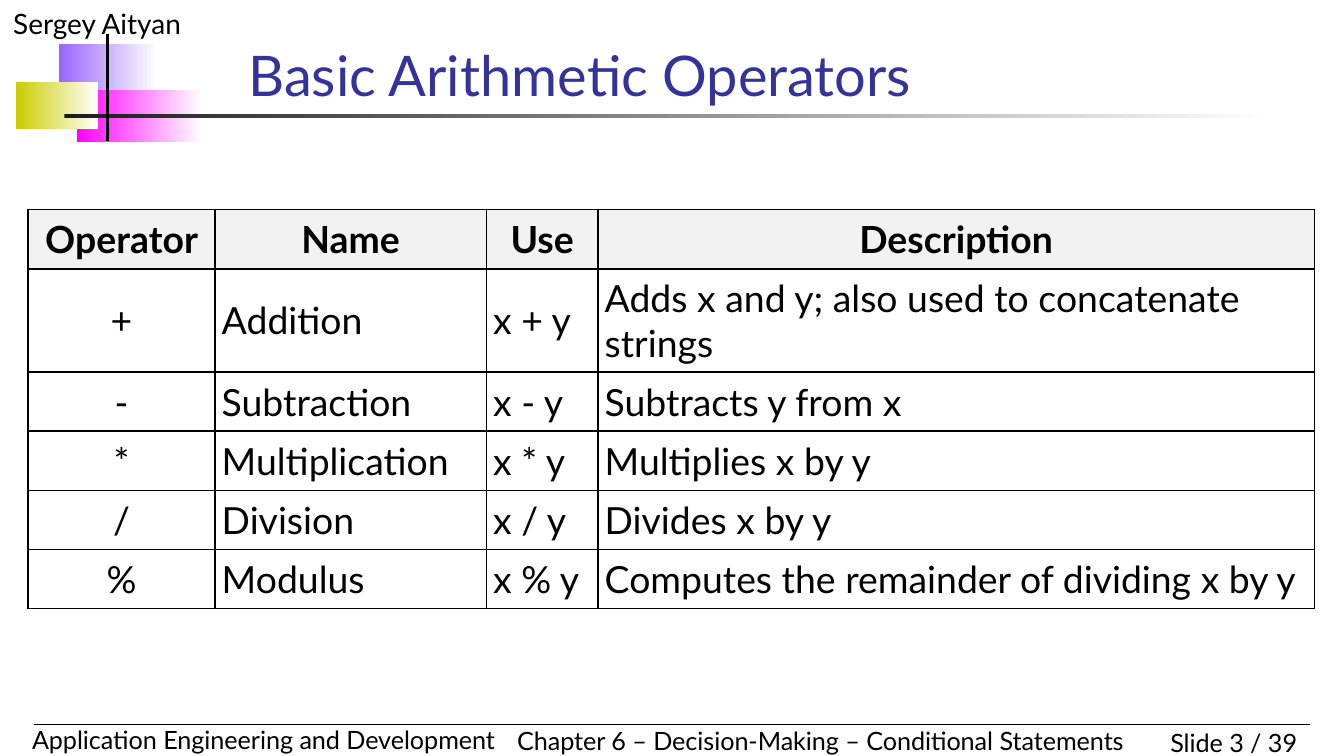
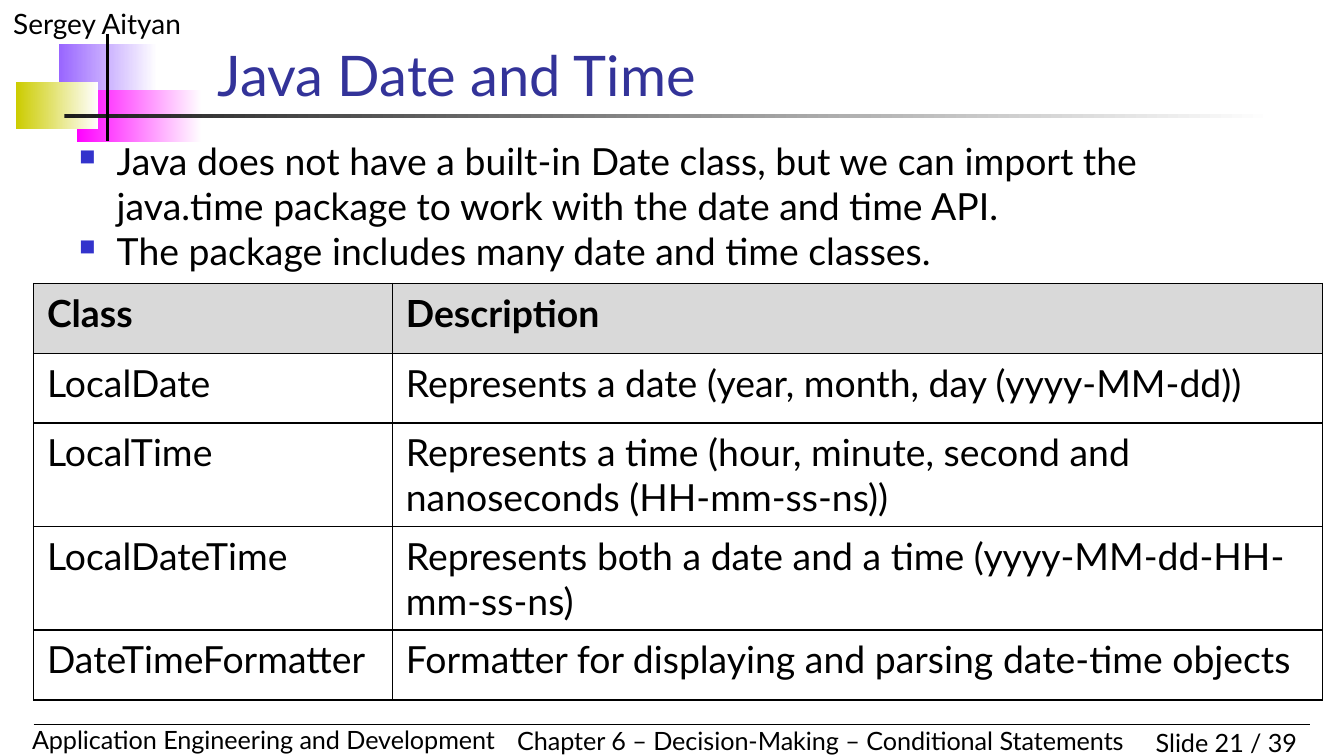
"""Builds two lecture slides with a shared banner, footer and bordered tables."""
from dataclasses import dataclass
from typing import Any, NamedTuple

from pptx import Presentation
from pptx import util as u
from pptx.dml.color import RGBColor
from pptx.enum import shapes, text
from pptx.oxml import parse_xml
from pptx.oxml.ns import nsdecls

AL, ANC, FIT = text.PP_ALIGN, text.MSO_ANCHOR, text.MSO_AUTO_SIZE


@dataclass(frozen=True)
class Theme:
    font: str = "Lato"
    ink: str = "000000"
    title: str = "333399"
    bullet: str = "3333CC"
    fade: str = "FFFFFF"
    violet: str = "9966FF"
    magenta: str = "FF00FF"
    olive: str = "CCCC00"
    rule: str = "1C1C1C"
    light_head: str = "F2F2F2"
    grey_head: str = "D9D9D9"
    title_size: float = 30
    body_size: float = 20
    author_size: float = 15
    footer_size: float = 13.5
    border: float = 1


T = Theme()


class Box(NamedTuple):
    left: float
    top: float
    width: float
    height: float


class Band(NamedTuple):
    box: Box
    color: str


class Label(NamedTuple):
    box: Box
    text: str
    size: float
    align: Any = AL.LEFT
    wrap: bool = True


class Rule(NamedTuple):
    start: tuple[float, float]
    end: tuple[float, float]
    width: float


@dataclass(frozen=True)
class Grid:
    left: float
    top: float
    cols: list[float]
    heights: list[float]
    rows: list[tuple[str, ...]]
    head: str
    inset: float = 0.1
    anchor: Any = ANC.TOP
    centered_head: bool = False
    centered_cols: tuple[int, ...] = ()


BANDS = [
    Band(Box(0.44, 0.33, 0.73, 0.39), T.violet),
    Band(Box(0.57, 0.67, 0.93, 0.39), T.magenta),
    Band(Box(0.12, 0.61, 0.61, 0.35), T.olive),
    Band(Box(0.48, 0.85, 9, 0.03), T.rule),
]
LABELS = [
    Label(Box(0, 0, 2.5, 0.35), "Sergey Aityan", T.author_size),
    Label(Box(8.25, 5.36, 1.5, 0.33), "Slide {number} / 39", T.footer_size, AL.RIGHT),
    Label(Box(0.14, 5.34, 3.7, 0.33), "Application Engineering and Development", T.footer_size),
    Label(Box(3.75, 5.35, 4.76, 0.33), "Chapter 6 – Decision-Making – Conditional Statements",
          T.footer_size, wrap=False),
]
RULES = [Rule((0.25, 5.39), (9.75, 5.39), 0.75), Rule((0.8, 0.25), (0.8, 1.05), 2)]

ONE_LINE, TWO_LINES, TALL_LINE = 0.44, 0.77, 0.52

OPERATORS = Grid(
    left=0.21, top=1.56, cols=[1.39, 2.02, 0.83, 5.33],
    heights=[ONE_LINE, TWO_LINES] + [ONE_LINE] * 4,
    rows=[
        ("Operator", "Name", "Use", "Description"),
        ("+", "Addition", "x + y", "Adds x and y; also used to concatenate strings"),
        ("-", "Subtraction", "x - y", "Subtracts y from x"),
        ("*", "Multiplication", "x * y", "Multiplies x by y"),
        ("/", "Division", "x / y", "Divides x by y"),
        ("%", "Modulus", "x % y", "Computes the remainder of dividing x by y"),
    ],
    head=T.light_head, inset=0.05, anchor=ANC.MIDDLE, centered_head=True, centered_cols=(0,),
)
CLASSES = Grid(
    left=0.25, top=2.11, cols=[2.67, 6.92],
    heights=[TALL_LINE, TALL_LINE, TWO_LINES, TWO_LINES, TALL_LINE],
    rows=[
        ("Class", "Description"),
        ("LocalDate", "Represents a date (year, month, day (yyyy-MM-dd))"),
        ("LocalTime", "Represents a time (hour, minute, second and nanoseconds (HH-mm-ss-ns))"),
        ("LocalDateTime", "Represents both a date and a time (yyyy-MM-dd-HH-mm-ss-ns)"),
        ("DateTimeFormatter", "Formatter for displaying and parsing date-time objects"),
    ],
    head=T.grey_head,
)
DATE_POINTS = [
    "Java does not have a built-in Date class, but we can import the java.time package "
    "to work with the date and time API.",
    "The package includes many date and time classes.",
]


def rgb(color: str) -> RGBColor:
    return RGBColor.from_string(color)


def apply(target: Any, formats: dict[str, Any]) -> None:
    for name, value in formats.items():
        setattr(target, name, value)


def write(p: Any, words: str, size: float, color: str = T.ink,
          align: Any = AL.LEFT, bold: bool = False) -> None:
    p.alignment = align
    r = p.add_run()
    r.text = words
    apply(r.font, {"name": T.font, "size": u.Pt(size), "bold": bold})
    r.font.color.rgb = rgb(color)


def add_frame(s: Any, box: Box, **formats: Any) -> Any:
    tf = s.shapes.add_textbox(*map(u.Inches, box)).text_frame
    apply(tf, {"word_wrap": True, "auto_size": FIT.NONE} | formats)
    return tf


def add_band(s: Any, band: Band) -> None:
    sp = s.shapes.add_shape(shapes.MSO_SHAPE.RECTANGLE, *map(u.Inches, band.box))
    sp.shadow.inherit = False
    sp.line.fill.background()
    sp.fill.gradient()
    sp.fill.gradient_angle = 0
    for stop, color, position in zip(sp.fill.gradient_stops, (band.color, T.fade), (0, 1)):
        stop.color.rgb = rgb(color)
        stop.position = position


def add_label(s: Any, label: Label, number: int) -> None:
    tf = add_frame(s, label.box, word_wrap=label.wrap, auto_size=FIT.SHAPE_TO_FIT_TEXT)
    write(tf.paragraphs[0], label.text.format(number=number), label.size, align=label.align)


def add_rule(s: Any, rule: Rule) -> None:
    cx = s.shapes.add_connector(shapes.MSO_CONNECTOR.STRAIGHT,
                                *map(u.Inches, rule.start + rule.end))
    cx.line.width = u.Pt(rule.width)
    cx.line.color.rgb = rgb(T.ink)
    cx._element.spPr.append(parse_xml(f"<a:effectLst {nsdecls('a')}/>"))


def add_title(s: Any, words: str, left: float, width: float) -> None:
    tf = add_frame(s, Box(left, 0.31, width, 0.54), vertical_anchor=ANC.BOTTOM)
    write(tf.paragraphs[0], words, T.title_size, T.title)


def add_bullets(s: Any, box: Box, points: list[str]) -> None:
    tf = add_frame(s, box)
    for i, point in enumerate(points):
        p = tf.add_paragraph() if i else tf.paragraphs[0]
        write(p, point, T.body_size)
        pPr = p._p.get_or_add_pPr()
        pPr.set("marL", str(u.Inches(0.28)))
        pPr.set("indent", str(-u.Inches(0.28)))
        for xml in (f'<a:buClr {nsdecls("a")}><a:srgbClr val="{T.bullet}"/></a:buClr>',
                    f'<a:buSzPct {nsdecls("a")} val="60000"/>',
                    f'<a:buChar {nsdecls("a")} char="■"/>'):
            pPr.append(parse_xml(xml))


def add_borders(cell: Any) -> None:
    tcPr = cell._tc.get_or_add_tcPr()
    for i, side in enumerate(("lnL", "lnR", "lnT", "lnB")):
        tcPr.insert(i, parse_xml(
            f'<a:{side} {nsdecls("a")} w="{u.Pt(T.border)}"><a:solidFill>'
            f'<a:srgbClr val="{T.ink}"/></a:solidFill></a:{side}>'))


def add_grid(s: Any, grid: Grid) -> None:
    box = Box(grid.left, grid.top, sum(grid.cols), sum(grid.heights))
    tbl = s.shapes.add_table(len(grid.rows), len(grid.cols), *map(u.Inches, box)).table
    apply(tbl, {"first_row": False, "horz_banding": False})
    for col, width in zip(tbl.columns, grid.cols):
        col.width = u.Inches(width)
    for i, (row, height, words) in enumerate(zip(tbl.rows, grid.heights, grid.rows)):
        row.height = u.Inches(height)
        is_head = i == 0
        for j, (cell, word) in enumerate(zip(row.cells, words)):
            apply(cell, {
                "vertical_anchor": grid.anchor,
                "margin_left": u.Inches(grid.inset), "margin_right": u.Inches(grid.inset),
                "margin_top": u.Inches(0.05), "margin_bottom": u.Inches(0.05),
            })
            if is_head:
                cell.fill.solid()
                cell.fill.fore_color.rgb = rgb(grid.head)
            else:
                cell.fill.background()
            add_borders(cell)
            centered = j in grid.centered_cols or (is_head and grid.centered_head)
            write(cell.text_frame.paragraphs[0], word, T.body_size,
                  align=AL.CENTER if centered else AL.LEFT, bold=is_head)


def add_slide(prs: Any, number: int) -> Any:
    s = prs.slides.add_slide(prs.slide_layouts[6])
    for band in BANDS:
        add_band(s, band)
    for label in LABELS:
        add_label(s, label, number)
    for rule in RULES:
        add_rule(s, rule)
    return s


def main() -> None:
    prs = Presentation()
    width = u.Inches(10)
    apply(prs, {"slide_width": width, "slide_height": width * 9 // 16})

    s = add_slide(prs, 3)
    add_title(s, "Basic Arithmetic Operators", 1.75, 7.13)
    add_grid(s, OPERATORS)

    s = add_slide(prs, 21)
    add_title(s, "Java Date and Time", 1.52, 7.35)
    add_bullets(s, Box(0.49, 0.98, 9.02, 0.86), DATE_POINTS)
    add_grid(s, CLASSES)

    prs.save("out.pptx")


if __name__ == "__main__":
    main()
